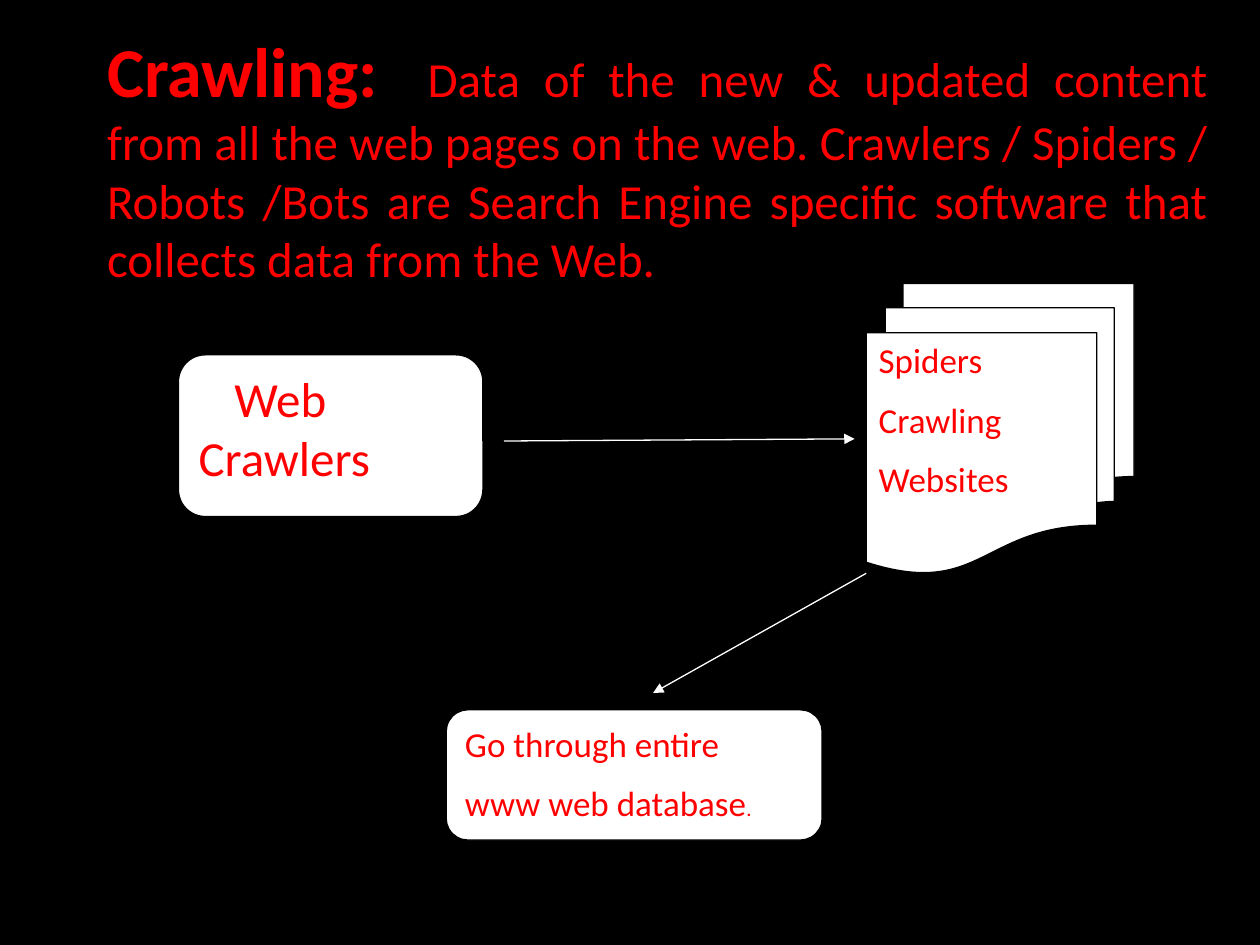
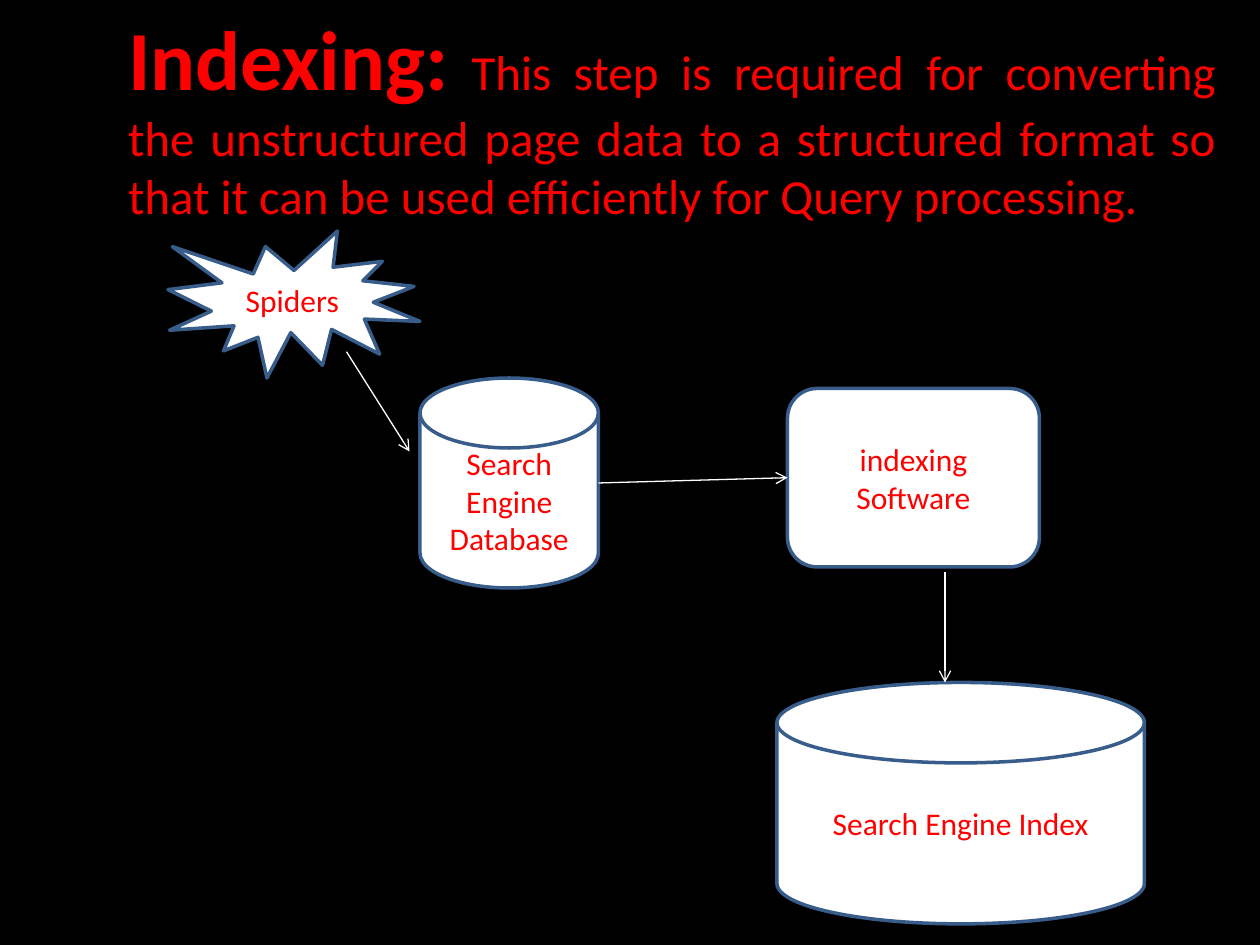
"""Build two slides on how a search engine crawls and indexes the web."""
from lxml import etree
from pptx import Presentation
from pptx.dml.color import RGBColor
from pptx.enum.shapes import MSO_CONNECTOR, MSO_SHAPE
from pptx.enum.text import MSO_ANCHOR, MSO_AUTO_SIZE, PP_ALIGN
from pptx.oxml.ns import qn
from pptx.util import Pt

PX = 7620
FONT = "Calibri"
BLACK, WHITE, RED, BLUE = "000000", "FFFFFF", "FF0000", "385D8A"
TITLE_ONLY = 5
ROUNDED = MSO_SHAPE.ROUNDED_RECTANGLE
DOCUMENTS = MSO_SHAPE.FLOWCHART_MULTIDOCUMENT
BURST = MSO_SHAPE.EXPLOSION1
DISK = MSO_SHAPE.FLOWCHART_MAGNETIC_DISK
STRAIGHT = MSO_CONNECTOR.STRAIGHT
TOP, MIDDLE = MSO_ANCHOR.TOP, MSO_ANCHOR.MIDDLE
LEFT, CENTER, JUSTIFY = PP_ALIGN.LEFT, PP_ALIGN.CENTER, PP_ALIGN.JUSTIFY
LEFT_SIDE = 1

color = RGBColor.from_string


def add_box(page, kind, place, lines, size, outline, weight, anchor, align, after):
    box = page.shapes.add_shape(kind, *[length * PX for length in place])
    box.shadow.inherit = False
    box.fill.solid()
    box.fill.fore_color.rgb = color(WHITE)
    box.line.color.rgb = color(outline)
    box.line.width = Pt(weight)
    frame = box.text_frame
    frame.word_wrap = True
    frame.vertical_anchor = anchor
    for number, line in enumerate(lines):
        para = frame.add_paragraph() if number else frame.paragraphs[0]
        para.add_run().text = line
        para.alignment = align
        para.space_after = Pt(after)
        para.font.name = FONT
        para.font.size = Pt(size)
        para.font.color.rgb = color(RED)
    return box


def add_arrow(page, start, end, head):
    arrow = page.shapes.add_connector(STRAIGHT, *[length * PX for length in start + end])
    arrow.line.color.rgb = color(WHITE)
    arrow.line.width = Pt(0.75)
    etree.SubElement(arrow.line._get_or_add_ln(), qn("a:tailEnd"), type=head)
    etree.SubElement(arrow._element.spPr, qn("a:effectLst"))
    return arrow


deck = Presentation()
deck.slide_width, deck.slide_height = 1200 * PX, 900 * PX
backdrop = deck.slide_master.background.fill
backdrop.solid()
backdrop.fore_color.rgb = color(BLACK)

titles = [
    ((90, 20, 1072, 317), "Crawling:", 40, 36, 1300,
     "Data of the new & updated content from all the web pages on the web. "
     "Crawlers / Spiders / Robots /Bots are Search Engine specific software "
     "that collects data from the Web."),
    ((110, 0, 1060, 276), "Indexing:", 48, 28, 0,
     "This step is required for converting the unstructured page data to a "
     "structured format so that it can be used efficiently for Query processing."),
]
pages = []
for place, term, term_size, gap_size, gap_spacing, meaning in titles:
    page = deck.slides.add_slide(deck.slide_layouts[TITLE_ONLY])
    title = page.shapes.title
    title.left, title.top, title.width, title.height = [length * PX for length in place]
    frame = title.text_frame
    frame.auto_size = MSO_AUTO_SIZE.NONE
    frame.vertical_anchor = TOP
    para = frame.paragraphs[0]
    para.alignment = JUSTIFY
    para.font.name = FONT
    para.font.color.rgb = color(RED)
    for words, size, bold, spacing in [(term, term_size, True, 0),
                                       (" ", gap_size, True, gap_spacing),
                                       (meaning, 28, False, 0)]:
        span = para.add_run()
        span.text = words
        span.font.size = Pt(size)
        span.font.bold = bold
        if spacing:
            span.font._element.set("spc", str(spacing))
    pages.append(page)
crawling, indexing = pages

crawl_style = (BLACK, 0.75, TOP, LEFT, 10)
database = add_box(crawling, ROUNDED, (425, 676, 358, 124),
                   ["Go through entire", "www web database"], 20, *crawl_style)
full_stop = database.text_frame.paragraphs[-1].add_run()
full_stop.text = "."
full_stop.font.size = Pt(12)
add_box(crawling, DOCUMENTS, (825, 270, 255, 276),
        ["Spiders", "Crawling", "Websites"], 20, *crawl_style)
crawlers = add_box(crawling, ROUNDED, (170, 338, 290, 154),
                   ["Web Crawlers"], 28, *crawl_style)
crawlers.text_frame.paragraphs[0]._p.get_or_add_pPr().set("indent", str(34 * PX))
add_arrow(crawling, (480, 420), (814, 418), "triangle")
add_arrow(crawling, (825, 546), (622, 660), "triangle")

index_style = (18, BLUE, 2, MIDDLE, CENTER, 0)
add_box(indexing, BURST, (160, 220, 240, 140), ["Spiders"], *index_style)
add_box(indexing, DISK, (400, 360, 170, 200), ["Search Engine Database"], *index_style)
software = add_box(indexing, ROUNDED, (750, 370, 240, 170),
                   ["indexing Software"], *index_style)
add_box(indexing, DISK, (740, 650, 350, 230), ["Search Engine Index"], *index_style)
to_software = add_arrow(indexing, (570, 460), (750, 455), "arrow")
to_software.end_connect(software, LEFT_SIDE)
add_arrow(indexing, (330, 335), (390, 430), "arrow")
add_arrow(indexing, (900, 545), (900, 650), "arrow")

deck.save("out.pptx")
